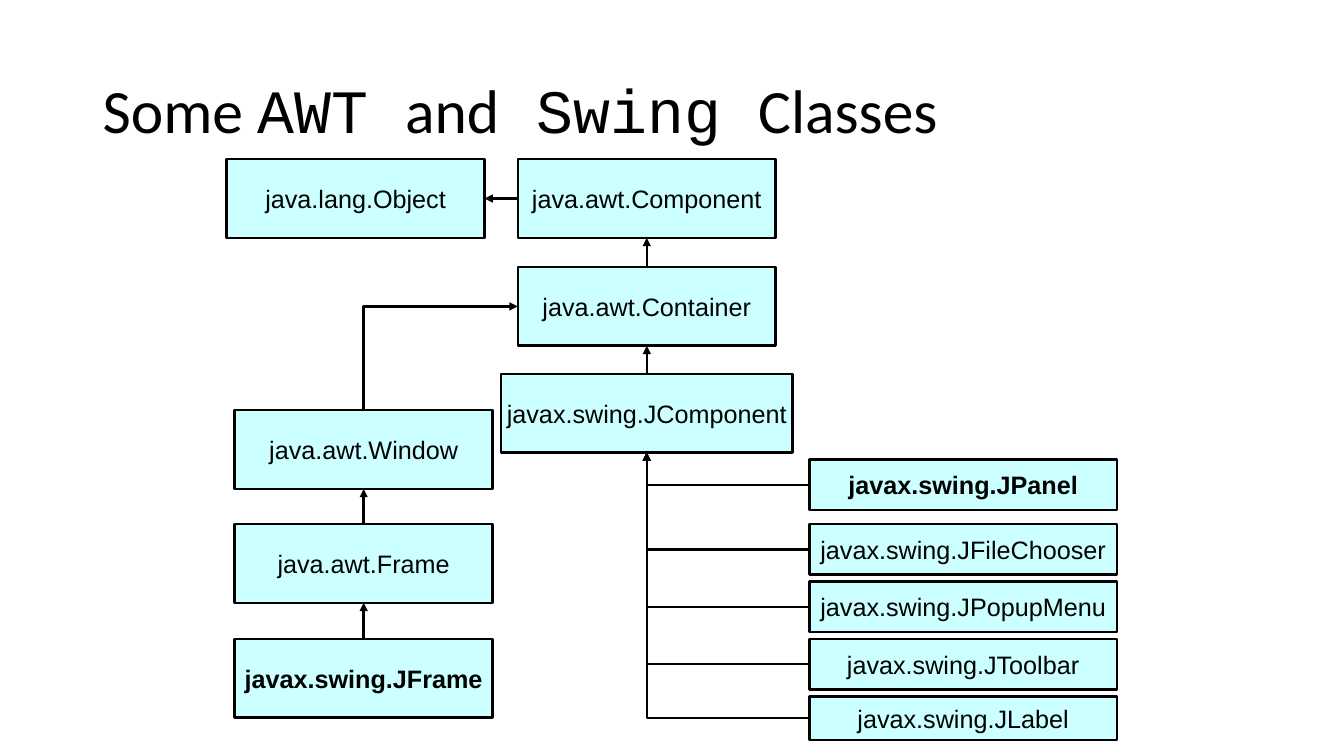
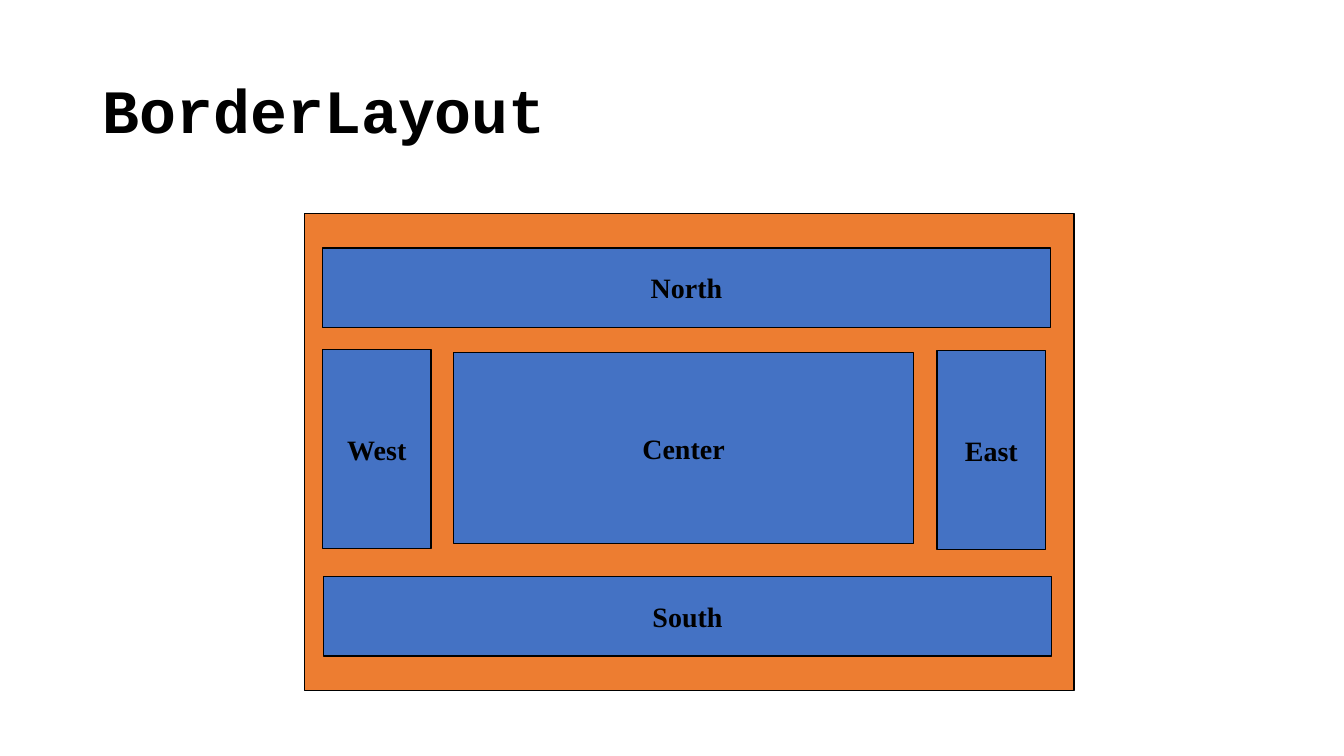
from lxml import etree
from pptx import Presentation
from pptx.dml.color import RGBColor
from pptx.enum.shapes import MSO_CONNECTOR, MSO_SHAPE
from pptx.enum.text import MSO_ANCHOR, PP_ALIGN
from pptx.oxml.ns import qn
from pptx.util import Inches, Pt

RECTANGLE = MSO_SHAPE.RECTANGLE
STRAIGHT, ELBOW = MSO_CONNECTOR.STRAIGHT, MSO_CONNECTOR.ELBOW
MIDDLE = MSO_ANCHOR.MIDDLE
LEFT, CENTER = PP_ALIGN.LEFT, PP_ALIGN.CENTER

# Connection sites of a rectangle
TOP_SITE, LEFT_SITE, BOTTOM_SITE, RIGHT_SITE = range(4)

# Shared look
BLACK, CYAN, BLUE, ORANGE = "000000", "CCFFFF", "4472C4", "ED7D31"
SANS, CODE, LABEL, SERIF = "Calibri", "Courier New", "Arial", "Times New Roman"
CLASS_LINE, AREA_LINE = 1.75, 1


def colour(value):
    return RGBColor.from_string(value)


def write_text(frame, spans, size=18, bold=False, align=CENTER,
               wrap=False, spacing=1.0):
    """Write one paragraph of (text, font) spans."""
    frame.word_wrap = wrap
    frame.vertical_anchor = MIDDLE
    para = frame.paragraphs[0]
    para.alignment = align
    para.line_spacing = spacing
    for text, font in spans:
        span = para.add_run()
        span.text = text
        span.font.name = font
        span.font.size = Pt(size)
        span.font.bold = bold
        span.font.color.rgb = colour(BLACK)


def add_title(page, spans, bold=False):
    box = page.shapes.add_textbox(
        Inches(0.92), Inches(0.4), Inches(11.5), Inches(1.45))
    write_text(box.text_frame, spans, size=44, bold=bold, align=LEFT,
               wrap=True, spacing=0.9)


def add_box(page, left, top, width, height, fill, line_width):
    box = page.shapes.add_shape(
        RECTANGLE, Inches(left), Inches(top), Inches(width), Inches(height))
    box.shadow.inherit = False
    box.fill.solid()
    box.fill.fore_color.rgb = colour(fill)
    box.line.color.rgb = colour(BLACK)
    box.line.width = Pt(line_width)
    return box


def add_link(page, start, start_site, end, end_site, bent=False,
             arrow="tailEnd"):
    """Join two boxes; a bent link leaves its start horizontally."""
    link = page.shapes.add_connector(ELBOW if bent else STRAIGHT, 0, 0, 0, 0)
    link.begin_connect(start, start_site)
    link.end_connect(end, end_site)
    link.line.color.rgb = colour(BLACK)
    link.line.width = Pt(CLASS_LINE)
    etree.SubElement(link.get_or_add_ln(), qn(f"a:{arrow}"), type="triangle")
    properties = link._element.spPr
    etree.SubElement(properties, qn("a:effectLst"))
    if bent:
        properties.find(qn("a:prstGeom")).set("prst", "bentConnector2")


def add_class_tree(page, left, top):
    """Draw the class hierarchy from its upper left corner."""
    def add_class(name, center, offset, width=2.56, height=0.78, bold=False):
        box = add_box(page, left + center - width / 2, top + offset,
                      width, height, CYAN, CLASS_LINE)
        write_text(box.text_frame, [(name, LABEL)], bold=bold)
        return box

    def add_chain(boxes):
        for parent, child in zip(boxes, boxes[1:]):
            add_link(page, child, TOP_SITE, parent, BOTTOM_SITE)

    # Root and the component column
    root = add_class("java.lang.Object", 1.28, 0)
    component = add_class("java.awt.Component", 4.17, 0)
    container = add_class("java.awt.Container", 4.17, 1.07)
    swing_base = add_class("javax.swing.JComponent", 4.17, 2.13, width=2.89)
    add_link(page, component, LEFT_SITE, root, RIGHT_SITE)
    add_chain([component, container, swing_base])

    # Window column
    window = add_class("java.awt.Window", 1.36, 2.49)
    frame = add_class("java.awt.Frame", 1.36, 3.62)
    swing_frame = add_class("javax.swing.JFrame", 1.36, 4.76, bold=True)
    add_link(page, container, LEFT_SITE, window, TOP_SITE, bent=True,
             arrow="headEnd")
    add_chain([window, frame, swing_frame])

    # Swing widgets
    for name, offset, height, bold in (
            ("JPanel", 2.98, 0.5, True),
            ("JFileChooser", 3.62, 0.5, False),
            ("JPopupMenu", 4.19, 0.5, False),
            ("JToolbar", 4.76, 0.5, False),
            ("JLabel", 5.33, 0.43, False)):
        widget = add_class(f"javax.swing.{name}", 7.31, offset, width=3.05,
                           height=height, bold=bold)
        add_link(page, widget, LEFT_SITE, swing_base, BOTTOM_SITE, bent=True)


def add_border_layout(page, left, top, width, height):
    """Draw the container and its five areas."""
    add_box(page, left, top, width, height, ORANGE, AREA_LINE)
    for name, across, down, area_width, area_height in (
            ("North", 0.18, 0.34, 7.23, 0.79),
            ("South", 0.19, 3.6, 7.23, 0.79),
            ("West", 0.18, 1.35, 1.08, 1.97),
            ("East", 6.28, 1.36, 1.08, 1.97),
            ("Center", 1.48, 1.38, 4.57, 1.89)):
        area = add_box(page, left + across, top + down, area_width,
                       area_height, BLUE, AREA_LINE)
        write_text(area.text_frame, [(name, SERIF)], size=20, bold=True)


def main():
    deck = Presentation()
    deck.slide_width, deck.slide_height = Inches(13.34), Inches(7.5)
    blank = deck.slide_layouts[6]

    # Class hierarchy
    page = deck.slides.add_slide(blank)
    add_title(page, [("Some ", SANS), ("AWT ", CODE), ("and", SANS),
                     (" Swing ", CODE), ("Classes", SANS)])
    add_class_tree(page, 2.25, 1.58)

    # Layout areas
    page = deck.slides.add_slide(blank)
    add_title(page, [("BorderLayout", CODE)], bold=True)
    add_border_layout(page, 3.02, 2.12, 7.64, 4.73)

    deck.save("out.pptx")


if __name__ == "__main__":
    main()
